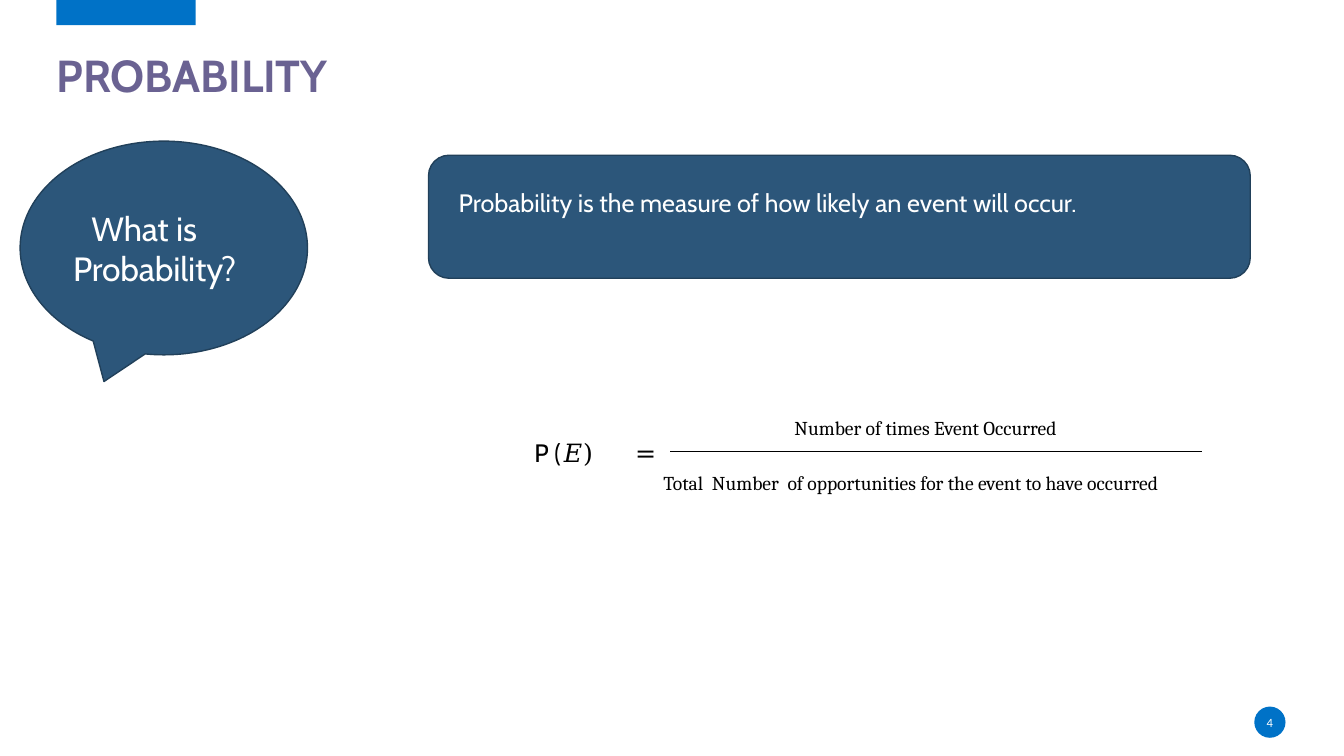
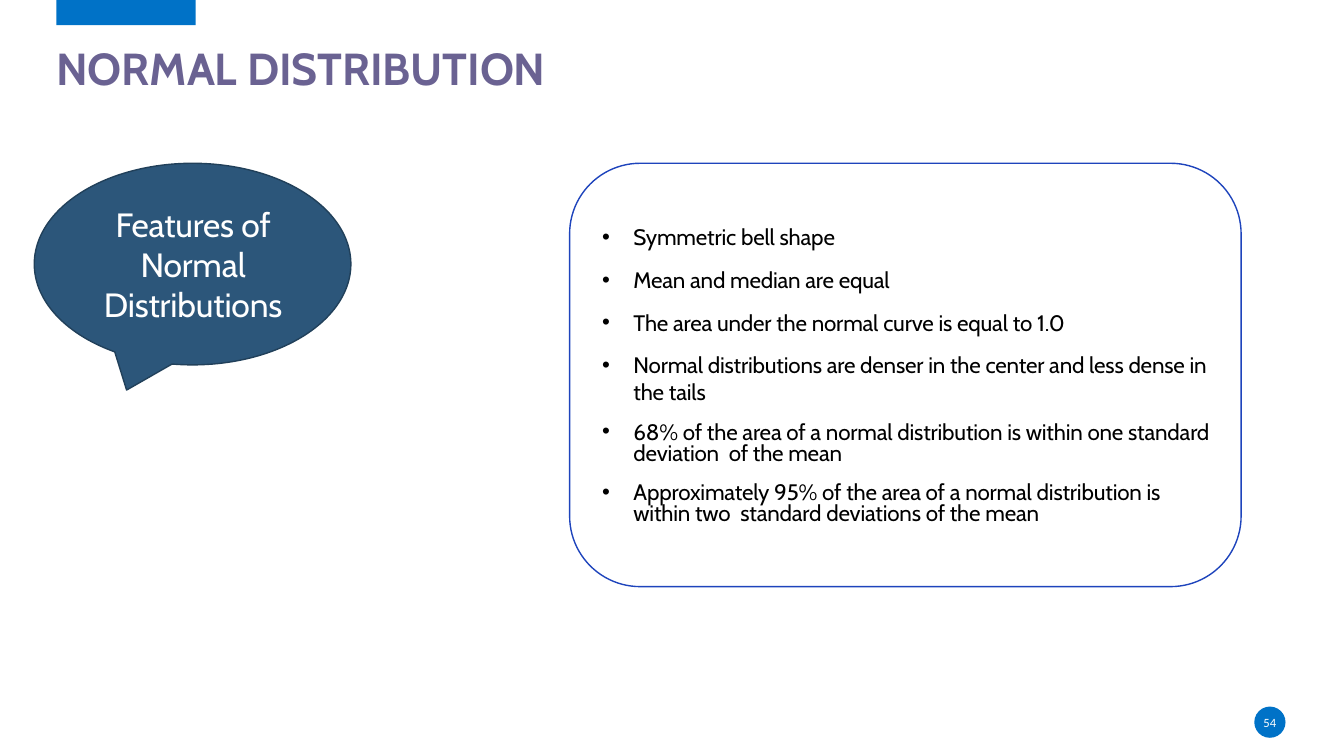
from dataclasses import dataclass, field
from typing import Any

import pptx
import pptx.dml.color
import pptx.enum.shapes
import pptx.enum.text
import pptx.oxml
import pptx.oxml.ns
import pptx.util

Inches = pptx.util.Inches
Pt = pptx.util.Pt
RGBColor = pptx.dml.color.RGBColor
Shape = pptx.enum.shapes.MSO_SHAPE
Align = pptx.enum.text.PP_ALIGN
Anchor = pptx.enum.text.MSO_ANCHOR

# Colours and fonts
ACCENT = RGBColor(0x00, 0x72, 0xC7)
TITLE = RGBColor(0x6A, 0x62, 0x92)
PANEL = RGBColor(0x2C, 0x56, 0x7A)
PANEL_EDGE = RGBColor(0x21, 0x40, 0x5A)
OUTLINE = RGBColor(0x1E, 0x44, 0xBC)
BLACK = RGBColor(0, 0, 0)
WHITE = RGBColor(0xFF, 0xFF, 0xFF)
BODY_FONT = "Cabin"
MATH_FONT = "DejaVu Serif"
FRACTION_FONT = "Cambria"

# Text formats
TITLE_FORMAT = {"name": BODY_FONT, "size": Pt(32), "bold": True, "color": TITLE}
NUMBER_FORMAT = {"name": "Calibri", "size": Pt(9), "color": WHITE}
CALLOUT_FORMAT = {"name": BODY_FONT, "size": Pt(24), "color": WHITE}
PANEL_FORMAT = {"name": BODY_FONT, "size": Pt(18), "color": WHITE}
BULLET_FORMAT = {"name": BODY_FONT, "size": Pt(16), "color": BLACK}
SYMBOL_FORMAT = {"name": BODY_FONT, "size": Pt(18), "color": BLACK}
FRACTION_FORMAT = {"name": FRACTION_FONT, "size": Pt(14), "color": BLACK}


@dataclass
class Span:
    text: str
    font: dict[str, Any]
    spacing: float = 0  # points between letters


@dataclass
class Para:
    spans: list[Span]
    format: dict[str, Any] = field(default_factory=dict)
    margin: float = 0
    indent: float = 0
    bullet: str = ""
    tab: float = 0


@dataclass
class Area:
    left: float
    top: float
    width: float
    height: float

    def lengths(self) -> list[int]:
        return [Inches(v) for v in (self.left, self.top, self.width, self.height)]


def apply_font(font: Any, values: dict[str, Any]) -> None:
    for name, value in values.items():
        if name == "color":
            font.color.rgb = value
        else:
            setattr(font, name, value)


def add_paragraph_element(para: Any, xml: str) -> None:
    declared = xml.replace(">", f" {pptx.oxml.ns.nsdecls('a')}>", 1)
    para._p.get_or_add_pPr().append(pptx.oxml.parse_xml(declared))


def write_text(box: Any, paras: list[Para], insets: tuple[float, ...] = (0, 0, 0, 0),
               anchor: Any = Anchor.TOP, wrap: bool = True) -> None:
    frame = box.text_frame
    left, top, right, bottom = (Inches(value) for value in insets)
    settings = {"margin_left": left, "margin_top": top, "margin_right": right,
                "margin_bottom": bottom, "vertical_anchor": anchor, "word_wrap": wrap}
    for name, value in settings.items():
        setattr(frame, name, value)
    for index, item in enumerate(paras):
        para = frame.add_paragraph() if index else frame.paragraphs[0]
        properties = para._p.get_or_add_pPr()
        properties.set("marL", str(Inches(item.margin)))
        properties.set("indent", str(Inches(item.indent)))
        if item.bullet:
            add_paragraph_element(para, '<a:buFont typeface="Arial"></a:buFont>')
            add_paragraph_element(para, f'<a:buChar char="{item.bullet}"></a:buChar>')
        if item.tab:
            add_paragraph_element(
                para, f'<a:tabLst><a:tab pos="{Inches(item.tab)}" algn="l"/></a:tabLst>')
        for name, value in ({"alignment": Align.LEFT} | item.format).items():
            setattr(para, name, value)
        for part in item.spans:
            span = para.add_run()
            span.text = part.text
            apply_font(span.font, part.font)
            if part.spacing:
                span._r.get_or_add_rPr().set("spc", str(round(part.spacing * 100)))


def add_box(page: Any, area: Area, paras: list[Para], **settings: Any) -> None:
    write_text(page.shapes.add_textbox(*area.lengths()), paras, **settings)


def add_filled(page: Any, kind: Any, area: Area, fill: RGBColor,
               edge: RGBColor | None = None) -> Any:
    shape = page.shapes.add_shape(kind, *area.lengths())
    shape.shadow.inherit = False
    shape.fill.solid()
    shape.fill.fore_color.rgb = fill
    if edge is None:
        shape.line.fill.background()
    else:
        shape.line.color.rgb = edge
        shape.line.width = Pt(1)
    return shape


def add_panel(page: Any, kind: Any, area: Area, paras: list[Para],
              fill: RGBColor = PANEL, edge: RGBColor = PANEL_EDGE,
              insets: tuple[float, ...] = (0.1, 0.05, 0.1, 0.05)) -> None:
    shape = add_filled(page, kind, area, fill, edge)
    write_text(shape, paras, insets, Anchor.MIDDLE)


def add_page(deck: Any, title: str, title_bottom: float, number: str) -> Any:
    """Add a blank page with the shared band, title and number badge."""
    page = deck.slides.add_slide(deck.slide_layouts[6])
    add_filled(page, Shape.RECTANGLE, Area(0.56, 0, 1.38, 0.25), ACCENT)
    add_box(page, Area(0.56, title_bottom - 0.51, 12.19, 0.51),
            [Para([Span(title, TITLE_FORMAT, -0.1)], {"line_spacing": 0.9})],
            anchor=Anchor.BOTTOM)
    badge = add_filled(page, Shape.OVAL, Area(12.44, 7.01, 0.31, 0.31), ACCENT)
    write_text(badge, [Para([Span(number, NUMBER_FORMAT)], {"alignment": Align.CENTER})],
               anchor=Anchor.MIDDLE, wrap=False)
    return page


def build_probability(deck: Any) -> None:
    page = add_page(deck, "PROBABILITY", 1.01, "4")

    # Question and definition
    add_panel(page, Shape.OVAL_CALLOUT, Area(0.2, 1.4, 2.85, 2.12),
              [Para([Span("What is Probability?", CALLOUT_FORMAT, -0.1)],
                    margin=0.01, indent=0.18)])
    definition = "Probability is the measure of how likely an event will occur."
    add_panel(page, Shape.ROUNDED_RECTANGLE, Area(4.25, 1.54, 8.15, 1.22),
              [Para([Span(definition, PANEL_FORMAT)], margin=0.14),],
              insets=(0.1, 0.05, 0.1, 0.33))

    # Formula
    bar = page.shapes.add_connector(
        pptx.enum.shapes.MSO_CONNECTOR.STRAIGHT,
        Inches(6.65), Inches(4.48), Inches(11.92), Inches(4.48))
    bar.line.color.rgb = BLACK
    bar.line.width = Pt(1.25)
    bar._element.spPr.append(
        pptx.oxml.parse_xml(f"<a:effectLst {pptx.oxml.ns.nsdecls('a')}/>"))
    math_format = SYMBOL_FORMAT | {"name": MATH_FONT}
    add_box(page, Area(5.29, 4.32, 1.49, 0.32),
            [Para([Span("P ", SYMBOL_FORMAT), Span("(", SYMBOL_FORMAT, 2),
                   Span("𝐸)\t", math_format, 0.7), Span("=", math_format, -1.6)],
                  margin=0.01, tab=1.01)],
            insets=(0, 0.02, 0, 0))
    fraction = [
        (Area(7.87, 4.11, 2.95, 0.25), "Number of times Event Occurred"),
        (Area(6.57, 4.65, 5.4, 0.25),
         "Total  Number  of opportunities for the event to have occurred"),
    ]
    for area, text in fraction:
        add_box(page, area, [Para([Span(text, FRACTION_FORMAT)], margin=0.01)],
                insets=(0, 0.02, 0, 0))


def build_normal_distribution(deck: Any) -> None:
    page = add_page(deck, "NORMAL DISTRIBUTION", 0.94, "54")

    # Heading callout
    add_panel(page, Shape.OVAL_CALLOUT, Area(0.34, 1.62, 3.14, 2),
              [Para([Span("Features of Normal Distributions", CALLOUT_FORMAT, -0.1)],
                    {"alignment": Align.CENTER}, margin=0.01)])

    # Feature list: the last two items are set tighter
    tight = {"line_spacing": Pt(15.1), "space_before": Pt(13)}
    loose = {"space_before": Pt(11.3)}
    features = [
        ("Symmetric bell shape", {}),
        ("Mean and median are equal", loose),
        ("The area under the normal curve is equal to 1.0", loose),
        ("Normal distributions are denser in the center and less dense in the tails", loose),
        ("68% of the area of a normal distribution is within one "
         "standard deviation  of the mean", tight),
        ("Approximately 95% of the area of a normal distribution is within two  "
         "standard deviations of the mean", tight),
    ]
    paras = [Para([Span(text, BULLET_FORMAT, -0.1)], values,
                  margin=0.33, indent=-0.31, bullet="•", tab=0.33)
             for text, values in features]
    add_panel(page, Shape.FLOWCHART_ALTERNATE_PROCESS, Area(5.65, 1.62, 6.66, 4.2),
              paras, WHITE, OUTLINE)


def main() -> None:
    deck = pptx.Presentation()
    deck.slide_width = Inches(13.33)
    deck.slide_height = Inches(7.5)
    build_probability(deck)
    build_normal_distribution(deck)
    deck.save("out.pptx")


if __name__ == "__main__":
    main()
